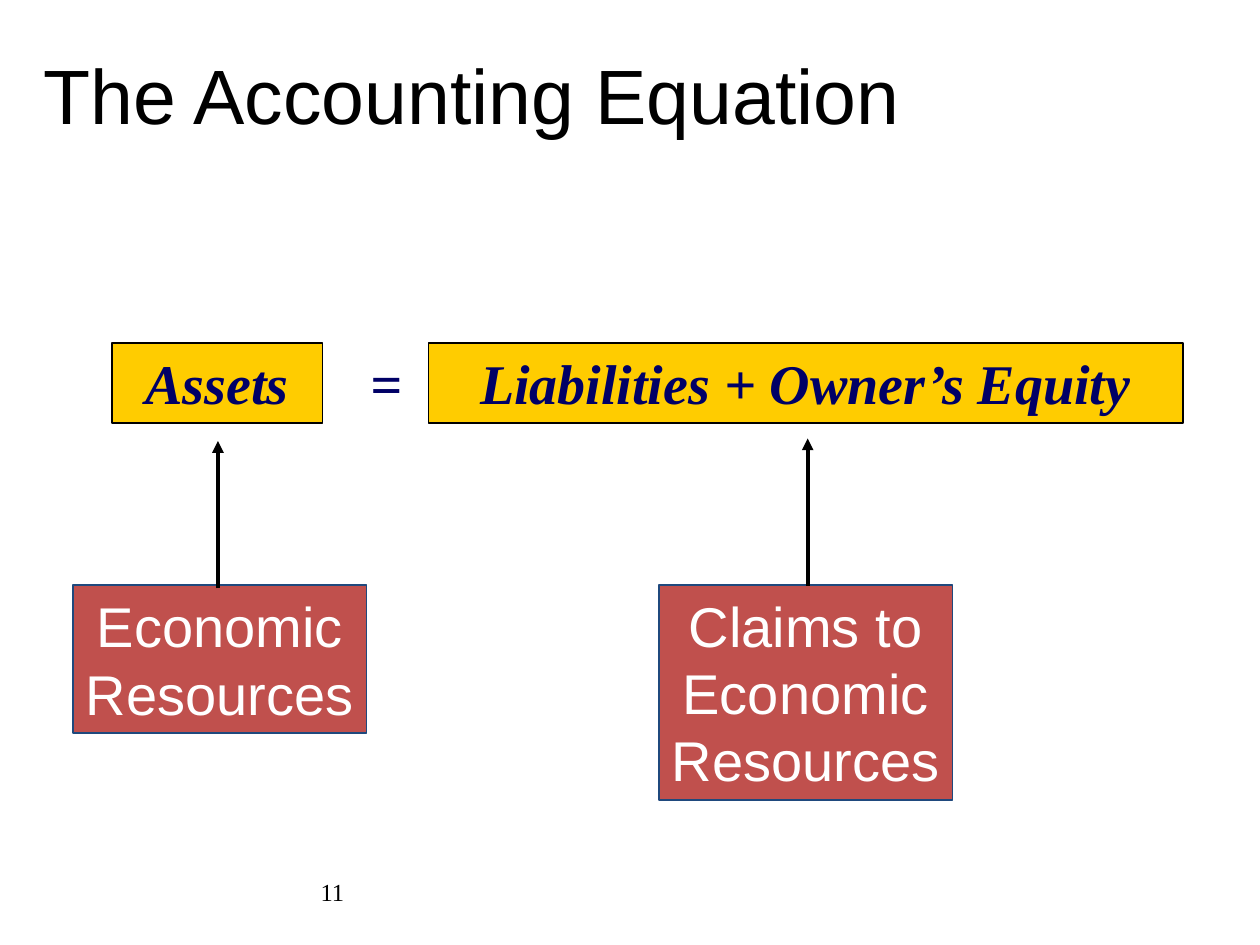
import dataclasses

import pptx
import pptx.dml.color
import pptx.enum.shapes
import pptx.enum.text
import pptx.oxml.ns
import pptx.util
from lxml import etree

ALIGN = pptx.enum.text.PP_ALIGN
ANCHOR = pptx.enum.text.MSO_ANCHOR


def color(value):
    return pptx.dml.color.RGBColor.from_string(value)


@dataclasses.dataclass(frozen=True)
class Theme:
    black: str = "000000"
    navy: str = "000066"
    white: str = "FFFFFF"
    gold: str = "FFCC00"
    red: str = "C0504D"
    blue: str = "1F497D"
    sans: str = "Arial"
    serif: str = "Times New Roman"
    title_size: int = 44
    body_size: int = 32
    number_size: int = 14
    border: float = 1
    arrow: float = 2.25

    def text(self, name):
        """Font values and colour for one kind of text."""
        font, size, ink, strong = {
            "title": (self.sans, self.title_size, self.black, False),
            "number": (self.serif, self.number_size, self.black, False),
            "term": (self.serif, self.body_size, self.navy, True),
            "meaning": (self.sans, self.body_size, self.white, False),
        }[name]
        return {"name": font, "size": pptx.util.Pt(size), "bold": strong,
                "italic": strong}, color(ink)


class SlideBuilder:
    """Places elements on a grid of 100 columns by 75 rows."""
    COLUMNS, ROWS = 100, 75

    def __init__(self, deck, theme):
        self.theme = theme
        self.column = deck.slide_width / self.COLUMNS
        self.row = deck.slide_height / self.ROWS
        self.page = deck.slides.add_slide(deck.slide_layouts[6])

    def place(self, left, top, width, height):
        return [round(left * self.column), round(top * self.row),
                round(width * self.column), round(height * self.row)]

    def set_text(self, box, lines, style, align, anchor, wrap):
        frame = box.text_frame
        frame.word_wrap = wrap
        frame.vertical_anchor = anchor
        values, ink = self.theme.text(style)
        for index, line in enumerate(lines):
            para = frame.paragraphs[0] if index == 0 else frame.add_paragraph()
            para.alignment = align
            span = para.add_run()
            span.text = line
            for key, value in values.items():
                setattr(span.font, key, value)
            span.font.color.rgb = ink

    def label(self, area, line, style, align=ALIGN.LEFT,
              anchor=ANCHOR.MIDDLE, wrap=True):
        box = self.page.shapes.add_textbox(*self.place(*area))
        self.set_text(box, [line], style, align, anchor, wrap)

    def panel(self, area, lines, style, fill, border, anchor):
        box = self.page.shapes.add_shape(
            pptx.enum.shapes.MSO_SHAPE.RECTANGLE, *self.place(*area))
        box.shadow.inherit = False
        box.fill.solid()
        box.fill.fore_color.rgb = color(fill)
        box.line.color.rgb = color(border)
        box.line.width = pptx.util.Pt(self.theme.border)
        self.set_text(box, lines, style, ALIGN.CENTER, anchor, False)

    def arrow_up(self, column, bottom, length):
        left, top, _, height = self.place(column, bottom - length, 0, length)
        arrow = self.page.shapes.add_connector(
            pptx.enum.shapes.MSO_CONNECTOR.STRAIGHT,
            left, top + height, left, top)
        arrow.line.color.rgb = color(self.theme.black)
        arrow.line.width = pptx.util.Pt(self.theme.arrow)
        qn = pptx.oxml.ns.qn
        properties = arrow._element.spPr
        etree.SubElement(properties.find(qn("a:ln")), qn("a:tailEnd"),
                         type="triangle")
        etree.SubElement(properties, qn("a:effectLst"))


def main():
    deck = pptx.Presentation()
    deck.slide_width = pptx.util.Inches(10)
    deck.slide_height = pptx.util.Inches(7.5)
    theme = Theme()
    slide = SlideBuilder(deck, theme)

    # Title and page number
    slide.label((2.5, 3.3, 90.8, 8.3), "The Accounting Equation", "title")
    slide.label((7.5, 68.3, 20.8, 5), "11", "number", ALIGN.RIGHT)

    # Meanings below the equation
    meaning_top, meaning_width = 46.4, 23.3
    for left, height, lines in (
            (5.8, 11.8, ["Economic", "Resources"]),
            (52.3, 17.1, ["Claims to", "Economic", "Resources"])):
        slide.panel((left, meaning_top, meaning_width, height), lines,
                    "meaning", theme.red, theme.blue, ANCHOR.MIDDLE)

    # Equation
    term_top, term_height = 27.2, 6.4
    for left, width, term in ((8.9, 16.7, "Assets"),
                              (34, 59.9, "Liabilities + Owner’s Equity")):
        slide.panel((left, term_top, width, term_height), [term],
                    "term", theme.gold, theme.black, ANCHOR.TOP)
    slide.label((28.4, term_top, 4.5, term_height), "=", "term",
                ALIGN.CENTER, ANCHOR.TOP, False)

    # Arrows from meanings to terms
    for column, bottom in ((17.3, 46.7), (64.1, 46.5)):
        slide.arrow_up(column, bottom, 11.7)

    deck.save("out.pptx")


if __name__ == "__main__":
    main()
